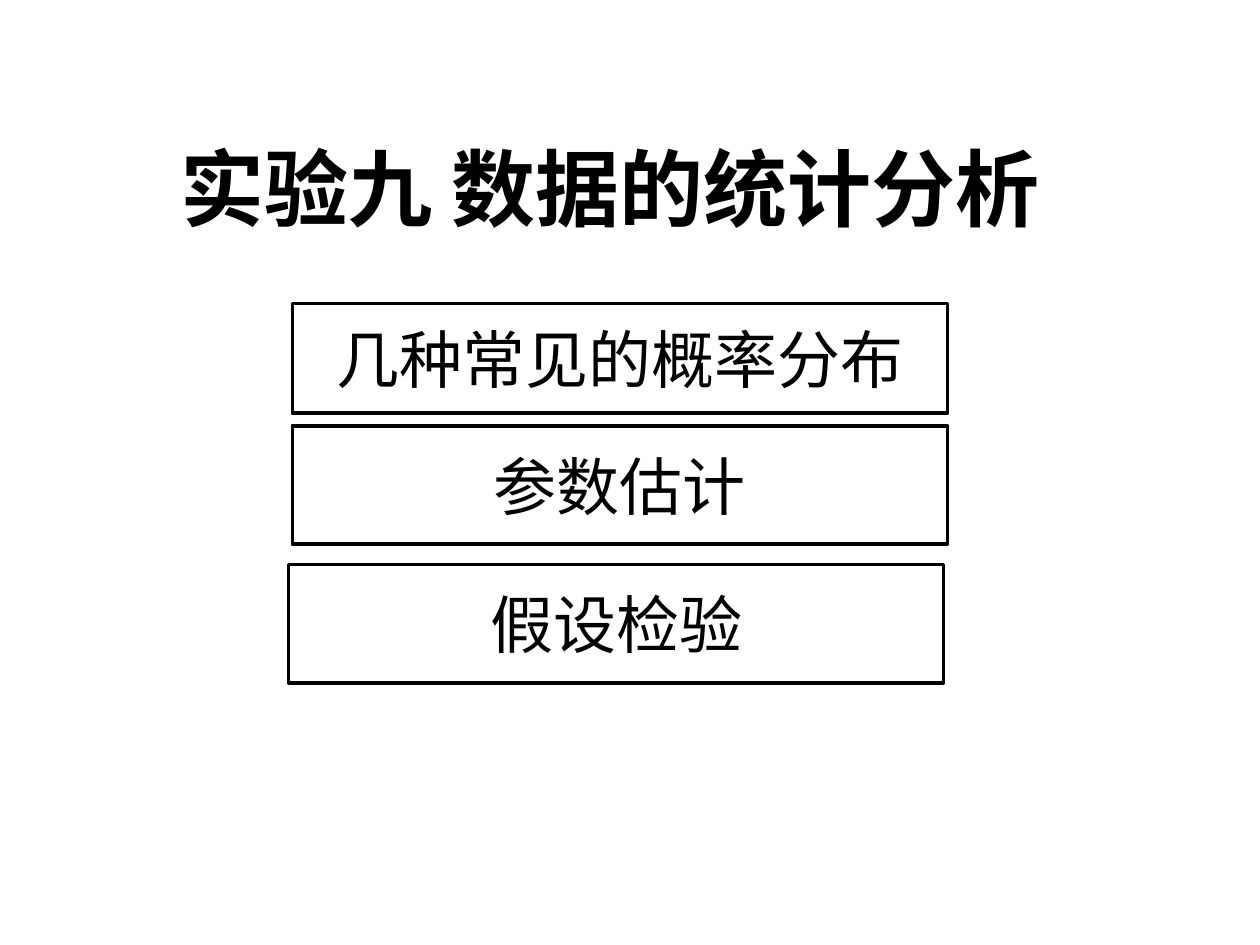
from pptx import Presentation
from pptx.dml.color import RGBColor
from pptx.enum.shapes import MSO_SHAPE
from pptx.enum.text import MSO_ANCHOR, PP_ALIGN
from pptx.util import Inches, Pt

FONT = "Calibri"
COLORS = {"ink": "000000", "paper": "FFFFFF"}
TITLE = "实验九 数据的统计分析"
TOPIC_WIDTH = 5.2
# text, left, top, height
TOPICS = [
    ("几种常见的概率分布", 2.32, 2.41, 0.87),
    ("参数估计", 2.32, 3.38, 0.94),
    ("假设检验", 2.29, 4.48, 0.94),
]


def color(name):
    return RGBColor.from_string(COLORS[name])


def write_centred(shape, text, size, bold=False):
    frame = shape.text_frame
    frame.word_wrap = True
    frame.vertical_anchor = MSO_ANCHOR.MIDDLE
    para = frame.paragraphs[0]
    para.alignment = PP_ALIGN.CENTER
    span = para.add_run()
    span.text = text
    span.font.name = FONT
    span.font.size = Pt(size)
    span.font.bold = bold
    span.font.color.rgb = color("ink")


def add_topic(page, text, left, top, height):
    box = page.shapes.add_shape(
        MSO_SHAPE.RECTANGLE,
        Inches(left), Inches(top), Inches(TOPIC_WIDTH), Inches(height))
    box.shadow.inherit = False
    box.fill.solid()
    box.fill.fore_color.rgb = color("paper")
    box.line.color.rgb = color("ink")
    box.line.width = Pt(2)
    write_centred(box, text, 36)


def main():
    deck = Presentation()
    deck.slide_width, deck.slide_height = Inches(10), Inches(7.5)
    page = deck.slides.add_slide(deck.slide_layouts[6])
    page.background.fill.solid()
    page.background.fill.fore_color.rgb = color("paper")

    title = page.shapes.add_textbox(
        Inches(0.59), Inches(0.68), Inches(8.5), Inches(1.61))
    write_centred(title, TITLE, 48, bold=True)
    for topic in TOPICS:
        add_topic(page, *topic)
    deck.save("out.pptx")


if __name__ == "__main__":
    main()
